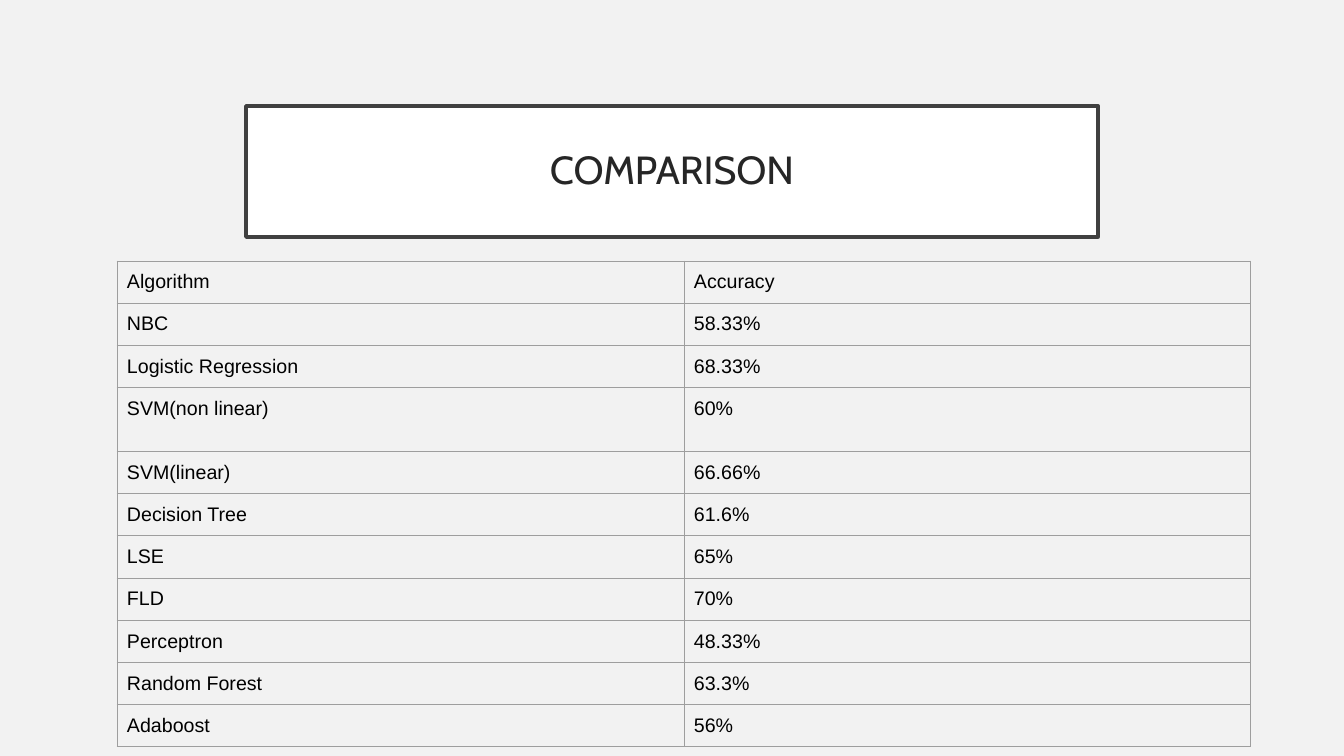
from lxml import etree
from pptx import Presentation
from pptx.dml.color import RGBColor
from pptx.enum import text
from pptx.oxml import ns
from pptx.util import Pt

SCALE = 914400 / 100.8
PAGE_WIDTH, PAGE_HEIGHT = 1344, 756
BACKGROUND = RGBColor(0xF2, 0xF2, 0xF2)
WHITE = RGBColor(0xFF, 0xFF, 0xFF)
FRAME = RGBColor(0x40, 0x40, 0x40)
TITLE_INK = RGBColor(0x26, 0x26, 0x26)
GRID = RGBColor(0x9E, 0x9E, 0x9E)
BLACK = RGBColor(0, 0, 0)

RESULTS = [
    ("Algorithm", "Accuracy"),
    ("NBC", "58.33%"),
    ("Logistic Regression", "68.33%"),
    ("SVM(non linear)", "60%"),
    ("SVM(linear)", "66.66%"),
    ("Decision Tree", "61.6%"),
    ("LSE", "65%"),
    ("FLD", "70%"),
    ("Perceptron", "48.33%"),
    ("Random Forest", "63.3%"),
    ("Adaboost", "56%"),
]
TALL_ROW, TALL_HEIGHT = 3, 64


def px(length):
    return round(length * SCALE)


def add_span(para, words, font, size, color):
    span = para.add_run()
    span.text = words
    span.font.name = font
    span.font.size = Pt(size)
    span.font.color.rgb = color


def set_margins(holder, margin):
    holder.margin_left = holder.margin_right = px(margin)
    holder.margin_top = holder.margin_bottom = px(margin)


def border_cell(cell):
    properties = cell._tc.get_or_add_tcPr()
    for position, side in enumerate(("lnL", "lnR", "lnT", "lnB")):
        line = etree.Element(ns.qn("a:" + side), w=str(Pt(0.75)))
        fill = etree.SubElement(line, ns.qn("a:solidFill"))
        etree.SubElement(fill, ns.qn("a:srgbClr"), val=str(GRID))
        properties.insert(position, line)


def build_title(page, left, top, width, height):
    title = page.shapes.title
    title.left, title.top = px(left), px(top)
    title.width, title.height = px(width), px(height)
    title.fill.solid()
    title.fill.fore_color.rgb = WHITE
    title.line.color.rgb = FRAME
    title.line.width = Pt(2.5)
    frame = title.text_frame
    frame.word_wrap = True
    frame.vertical_anchor = text.MSO_ANCHOR.MIDDLE
    set_margins(frame, 20)
    para = frame.paragraphs[0]
    para.alignment = text.PP_ALIGN.CENTER
    para.line_spacing = 0.9
    add_span(para, "COMPARISON", "Cabin", 28, TITLE_INK)


def build_results(page, left, top, width, height):
    rows, columns = len(RESULTS), len(RESULTS[0])
    table = page.shapes.add_table(
        rows, columns, px(left), px(top), px(width), px(height)).table
    table.first_row = table.horz_banding = False
    for column in table.columns:
        column.width = px(width / columns)
    row_height = (height - TALL_HEIGHT) / (rows - 1)
    for index, values in enumerate(RESULTS):
        table.rows[index].height = px(TALL_HEIGHT if index == TALL_ROW else row_height)
        for column, value in enumerate(values):
            cell = table.cell(index, column)
            cell.fill.background()
            set_margins(cell, 10)
            border_cell(cell)
            add_span(cell.text_frame.paragraphs[0], value, "Arial", 14, BLACK)


def build_comparison(deck):
    page = deck.slides.add_slide(deck.slide_layouts[5])
    page.background.fill.solid()
    page.background.fill.fore_color.rgb = BACKGROUND
    build_title(page, 246, 106, 852, 131)
    build_results(page, 117, 261, 1134, 486)


deck = Presentation()
deck.slide_width, deck.slide_height = px(PAGE_WIDTH), px(PAGE_HEIGHT)
build_comparison(deck)
deck.save("out.pptx")
